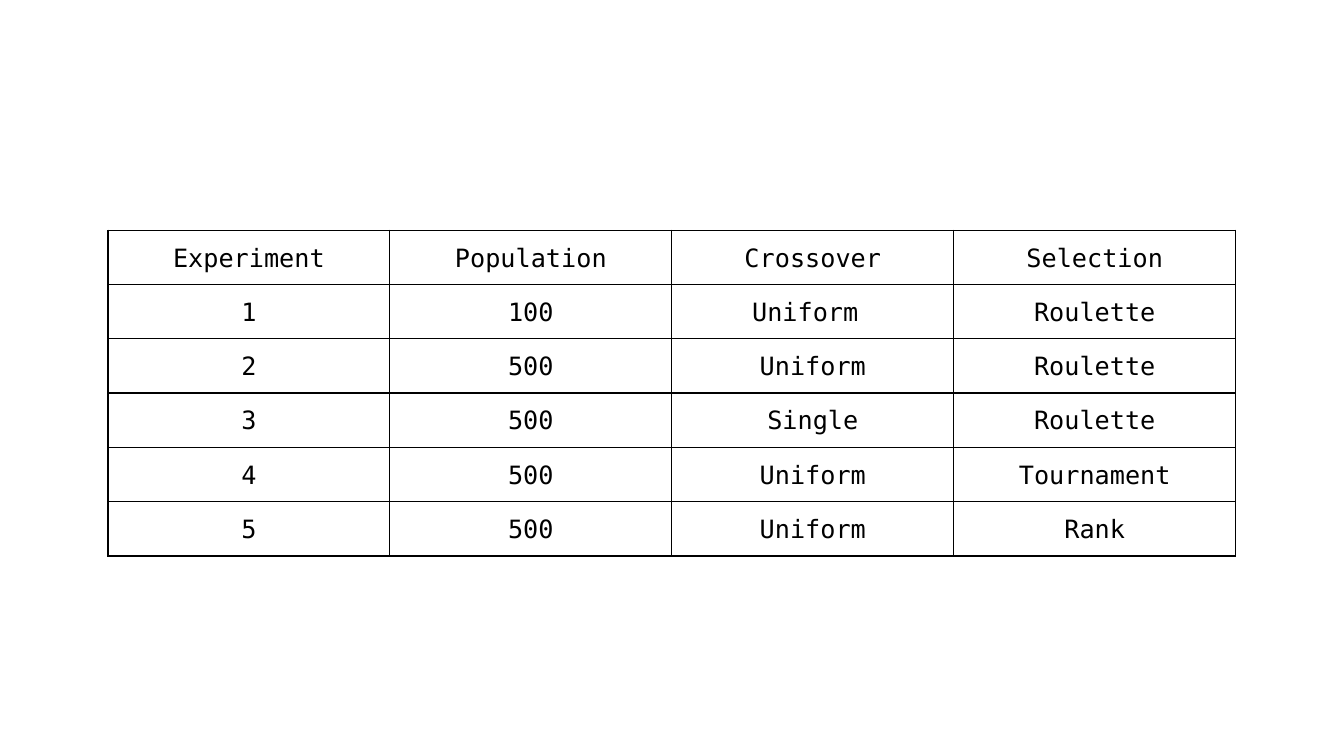
from lxml.etree import SubElement
from pptx import Presentation
from pptx.dml.color import RGBColor
from pptx.enum.text import MSO_ANCHOR, PP_ALIGN
from pptx.oxml.ns import qn
from pptx.util import Cm, Pt

BLACK = RGBColor(0x00, 0x00, 0x00)
FONT = "DejaVu Sans Mono"
BORDER = Pt(1)

EXPERIMENTS = [
    ("Experiment", "Population", "Crossover", "Selection"),
    ("1", "100", "Uniform ", "Roulette"),
    ("2", "500", "Uniform", "Roulette"),
    ("3", "500", "Single", "Roulette"),
    ("4", "500", "Uniform", "Tournament"),
    ("5", "500", "Uniform", "Rank"),
]


def add_borders(cell):
    """Draw a solid line on all four sides; call before setting the fill."""
    properties = cell._tc.get_or_add_tcPr()
    for side in ("a:lnL", "a:lnR", "a:lnT", "a:lnB"):
        line = SubElement(properties, qn(side), w=str(BORDER))
        fill = SubElement(line, qn("a:solidFill"))
        SubElement(fill, qn("a:srgbClr"), val=str(BLACK))


def fill_cell(cell, text):
    add_borders(cell)
    cell.fill.background()
    cell.vertical_anchor = MSO_ANCHOR.MIDDLE
    cell.margin_left = cell.margin_right = Cm(0.19)
    cell.margin_top = cell.margin_bottom = 0

    para = cell.text_frame.paragraphs[0]
    para.text = text
    para.alignment = PP_ALIGN.CENTER
    para.line_spacing = 1.07
    para.space_after = Pt(8)
    font = para.runs[0].font
    font.name = FONT
    font.size = Pt(18)
    font.color.rgb = BLACK


def add_experiment_table(slide, left, top, width, height):
    row_count, column_count = len(EXPERIMENTS), len(EXPERIMENTS[0])
    table = slide.shapes.add_table(
        row_count, column_count, left, top, width, height).table
    table.first_row = table.horz_banding = False
    for row, texts in enumerate(EXPERIMENTS):
        for column, text in enumerate(texts):
            fill_cell(table.cell(row, column), text)


def main():
    deck = Presentation()
    deck.slide_width, deck.slide_height = Cm(33.87), Cm(19.05)
    slide = deck.slides.add_slide(deck.slide_layouts[6])

    # Table of experiment settings
    add_experiment_table(slide, Cm(2.72), Cm(5.8), Cm(28.42), Cm(8.21))

    deck.save("out.pptx")


if __name__ == "__main__":
    main()
